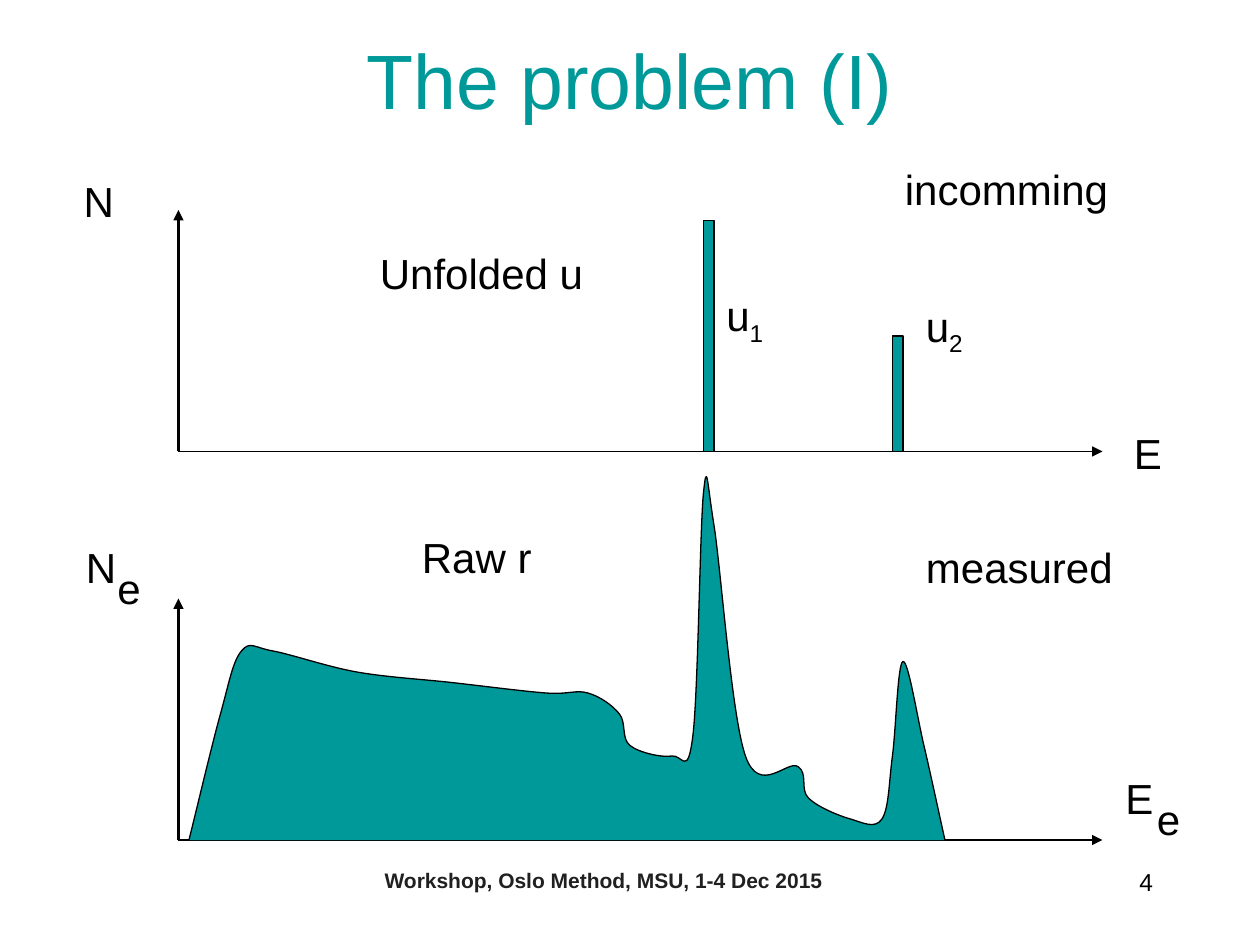
from lxml.etree import SubElement
from pptx import Presentation
from pptx.dml.color import RGBColor
from pptx.enum.shapes import MSO_CONNECTOR, MSO_SHAPE
from pptx.enum.text import MSO_ANCHOR as Anchor, MSO_AUTO_SIZE as Fit, PP_ALIGN as Align
from pptx.oxml.ns import qn
from pptx.util import Cm, Pt

TEAL, BLACK, GREY = "009999", "000000", "202020"


def rgb(code):
    return RGBColor.from_string(code)


def grid(units):
    """Length of grid units, twelve to the inch."""
    return Cm(units * 2.54 / 12)


def bezier_points(knots):
    """Two handles and an end for each piece of a smooth curve through the knots."""
    def mirror(end, inner):
        return tuple(2 * e - i for e, i in zip(end, inner))

    def handle(knot, ahead, behind):
        return tuple(k + (a - b) / 6 for k, a, b in zip(knot, ahead, behind))

    padded = [mirror(knots[0], knots[1]), *knots, mirror(knots[-1], knots[-2])]
    points = []
    for before, start, end, after in zip(padded, padded[1:], padded[2:], padded[3:]):
        points += [handle(start, end, before), handle(end, start, after), end]
    return points


class Sketch:
    """Style and current slide; all positions are in grid units."""

    def __init__(self, slide, font="Arial"):
        self.shapes = slide.shapes
        self.font = font

    def text(self, box, runs, size=24, color=BLACK, bold=False,
             align=Align.LEFT, anchor=Anchor.TOP, wrap=True, fit=Fit.NONE):
        """Runs are (text, is_subscript) pairs."""
        frame = self.shapes.add_textbox(*map(grid, box)).text_frame
        frame.word_wrap = wrap
        frame.auto_size = fit
        frame.vertical_anchor = anchor
        paragraph = frame.paragraphs[0]
        paragraph.alignment = align
        for words, subscript in runs:
            run = paragraph.add_run()
            run.text = words
            run.font.name = self.font
            run.font.size = Pt(size)
            run.font.bold = bold
            run.font.color.rgb = rgb(color)
            if subscript:
                run.font._element.set("baseline", "-25000")

    def label(self, left, top, width, words, subscript="", wrap=False):
        runs = [(words, False)]
        if subscript:
            runs.append((subscript, True))
        self.text((left, top, width, 6.8), runs, wrap=wrap, fit=Fit.SHAPE_TO_FIT_TEXT)

    def arrow(self, start, end, weight):
        line = self.shapes.add_connector(
            MSO_CONNECTOR.STRAIGHT, *map(grid, start + end))
        line.line.color.rgb = rgb(BLACK)
        line.line.width = Pt(weight)
        SubElement(line.line._get_or_add_ln(), qn("a:tailEnd"), type="triangle")
        SubElement(line._element.spPr, qn("a:effectLst"))

    def axes(self, origin, right, top):
        self.arrow(origin, (right, origin[1]), 1)
        self.arrow(origin, (origin[0], top), 1.5)

    def paint(self, shape):
        shape.shadow.inherit = False
        shape.fill.solid()
        shape.fill.fore_color.rgb = rgb(TEAL)
        shape.line.color.rgb = rgb(BLACK)
        shape.line.width = Pt(0.75)

    def bar(self, left, top, bottom):
        self.paint(self.shapes.add_shape(
            MSO_SHAPE.RECTANGLE, *map(grid, (left, top, 1, bottom - top))))

    def area(self, knots):
        """Filled outline whose line segments are regrouped in threes as curves."""
        outline = self.shapes.build_freeform(*map(grid, knots[0]))
        outline.add_line_segments(
            [tuple(map(grid, point)) for point in bezier_points(knots)], close=False)
        shape = outline.convert_to_shape()
        segments = list(shape._element.iter(qn("a:lnTo")))
        track = segments[0].getparent()
        for first in range(0, len(segments), 3):
            curve = SubElement(track, qn("a:cubicBezTo"))
            for segment in segments[first:first + 3]:
                curve.append(segment[0])
                track.remove(segment)
        self.paint(shape)


def main():
    deck = Presentation()
    deck.slide_width, deck.slide_height = Cm(25.4), Cm(19.05)
    sketch = Sketch(deck.slides.add_slide(deck.slide_layouts[6]))

    sketch.text((26, 82, 63, 6), [("Workshop, Oslo Method, MSU, 1-4 Dec 2015", False)],
                12, GREY, bold=True, align=Align.CENTER)
    sketch.text((86, 82, 25, 6), [("4", False)], 14, align=Align.RIGHT)
    sketch.text((9, 0, 102, 15), [("The problem (I)", False)], 44, TEAL,
                align=Align.CENTER, anchor=Anchor.MIDDLE)

    incoming_base, measured_base = 43, 80
    sketch.axes((17, incoming_base), right=105, top=20)
    sketch.axes((17, measured_base), right=105, top=57)
    sketch.bar(67, 21, incoming_base)
    sketch.bar(85, 32, incoming_base)

    sketch.label(85, 15, 26.8, "incomming", wrap=True)
    sketch.label(87, 51, 26.8, "measured", wrap=True)
    sketch.label(6.8, 16.1, 5.5, "N")
    sketch.label(106.8, 40.1, 4.9, "E")

    raw_spectrum = [
        (90, measured_base), (88, 71), (86, 63), (85, 72), (84, 78), (81, 78),
        (77, 76), (76, 73), (71, 72), (68, 50), (67, 47), (66, 70), (64, 72),
        (60, 71), (59, 68), (56, 66), (52, 66), (43, 65), (34, 64), (26, 62),
        (23, 62), (21, 68), (18, measured_base)]
    sketch.area(raw_spectrum)

    for label in [
        (7, 51, 5.5, "N"),
        (106, 73, 4.9, "E"),
        (10, 53, 4.9, "e"),
        (109, 75, 4.9, "e"),
        (35, 23, 25.1, "Unfolded u"),
        (39, 50, 15, "Raw r"),
        (68, 27, 6.1, "u", "1"),
        (87, 28, 6.7, "u", "2"),
    ]:
        sketch.label(*label)

    deck.save("out.pptx")


if __name__ == "__main__":
    main()
